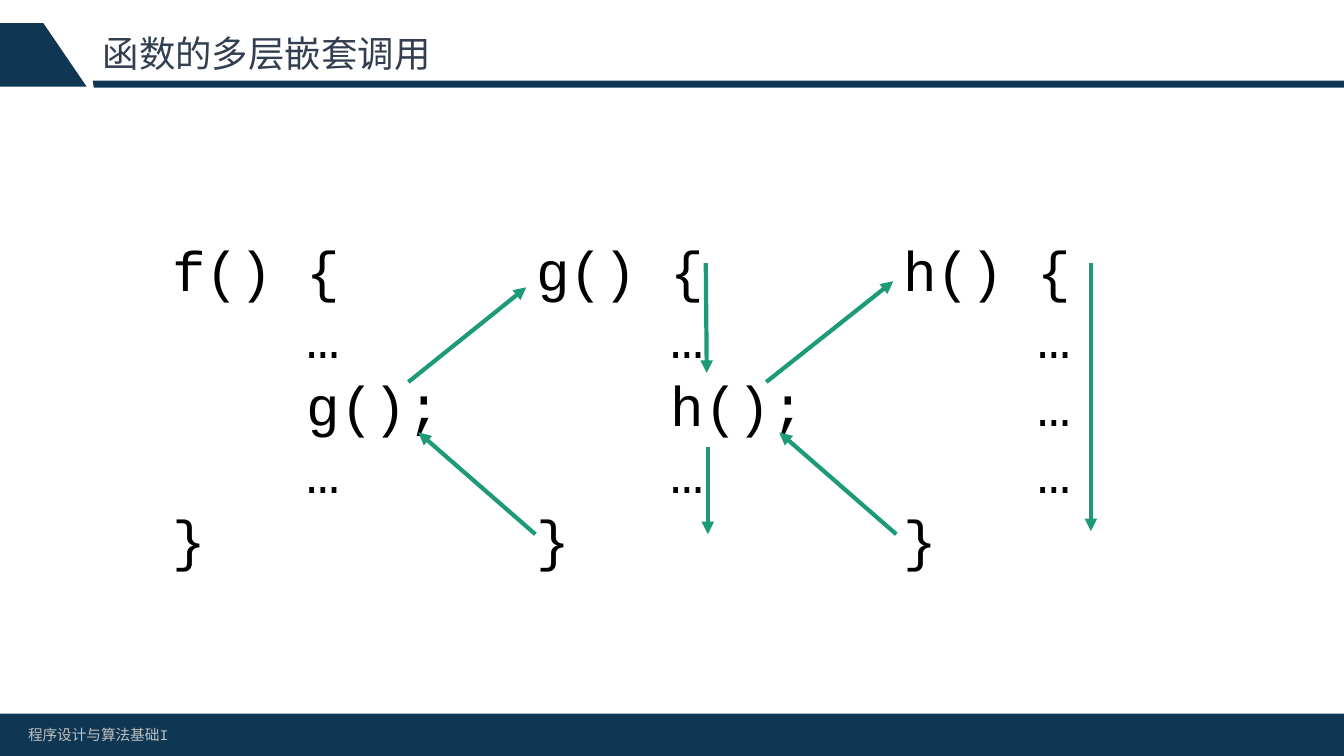
from lxml import etree
from pptx import Presentation
from pptx.dml.color import RGBColor
from pptx.enum.shapes import MSO_CONNECTOR, MSO_SHAPE
from pptx.enum.text import MSO_ANCHOR, MSO_AUTO_SIZE
from pptx.oxml.ns import qn
from pptx.util import Inches, Pt

NAVY, GREEN = "0F3754", "1D9A78"


def rgb(value):
    return RGBColor.from_string(value)


class SlideBuilder:
    font = "Courier New"

    def __init__(self, slide):
        self.shapes = slide.shapes

    def paint(self, s, color):
        """Give a shape a plain fill with neither outline nor shadow."""
        s.shadow.inherit = False
        s.fill.solid()
        s.fill.fore_color.rgb = rgb(color)
        s.line.fill.background()

    def rect(self, box, color):
        s = self.shapes.add_shape(MSO_SHAPE.RECTANGLE, *map(Inches, box))
        self.paint(s, color)

    def polygon(self, points, color):
        start, *rest = [(Inches(x), Inches(y)) for x, y in points]
        builder = self.shapes.build_freeform(*start)
        builder.add_line_segments(rest, close=True)
        self.paint(builder.convert_to_shape(), color)

    def text(self, box, lines, size, color, **frame_format):
        tf = self.shapes.add_textbox(*map(Inches, box)).text_frame
        frame = {"word_wrap": True, "auto_size": MSO_AUTO_SIZE.SHAPE_TO_FIT_TEXT}
        for name, value in (frame | frame_format).items():
            setattr(tf, name, value)
        for i, line in enumerate(lines):
            p = tf.add_paragraph() if i else tf.paragraphs[0]
            r = p.add_run()
            r.text = line
            r.font.color.rgb = rgb(color)
            for name, value in {"name": self.font, "size": Pt(size)}.items():
                setattr(r.font, name, value)
        return tf

    def arrow(self, start, end, color=GREEN, width=3):
        c = self.shapes.add_connector(MSO_CONNECTOR.STRAIGHT, *map(Inches, start + end))
        c.line.color.rgb = rgb(color)
        c.line.width = Pt(width)
        etree.SubElement(c.line._get_or_add_ln(), qn("a:tailEnd"), type="triangle")
        etree.SubElement(c._element.spPr, qn("a:effectLst"))


def main():
    prs = Presentation()
    prs.slide_width, prs.slide_height = Inches(13.33), Inches(7.5)
    b = SlideBuilder(prs.slides.add_slide(prs.slide_layouts[6]))

    # Header and footer
    b.polygon([(0.92, 0.8), (13.33, 0.8), (13.33, 0.87), (0.93, 0.87)], NAVY)
    b.polygon([(0.43, 0.23), (0.86, 0.86), (0, 0.86), (0, 0.23)], NAVY)
    b.rect((0, 7.08, 13.33, 0.42), NAVY)
    b.text((0.18, 7.15, 4.32, 0.29), ["程序设计与算法基础I"], 10.5, "BFBFBF")
    title = b.text((0.92, 0.23, 11.5, 0.64), ["函数的多层嵌套调用"], 26, "333F50",
                   auto_size=MSO_AUTO_SIZE.NONE, vertical_anchor=MSO_ANCHOR.MIDDLE)
    title.paragraphs[0].line_spacing = 0.9

    # Three functions, each with the statement in the middle of its body
    functions = [("f", "g();", 1.61, 3.06), ("g", "h();", 5.22, 3.09), ("h", "…", 8.86, 2.9)]
    for name, statement, left, width in functions:
        body = [f"    {line}" for line in ("…", statement, "…")]
        b.text((left, 2.29, width, 3.47), [f"{name}() {{", *body, "}"], 40, "000000")

    # Calls, returns, then the flow inside g and h
    arrows = [
        ((4.05, 3.79), (5.22, 2.85)),
        ((7.6, 3.79), (8.86, 2.79)),
        ((5.31, 5.3), (4.15, 4.29)),
        ((8.89, 5.3), (7.73, 4.29)),
        ((7, 2.61), (7.01, 3.7)),
        ((7.02, 4.43), (7.02, 5.3)),
        ((10.82, 2.61), (10.82, 5.27)),
    ]
    for start, end in arrows:
        b.arrow(start, end)

    prs.save("out.pptx")


if __name__ == "__main__":
    main()
